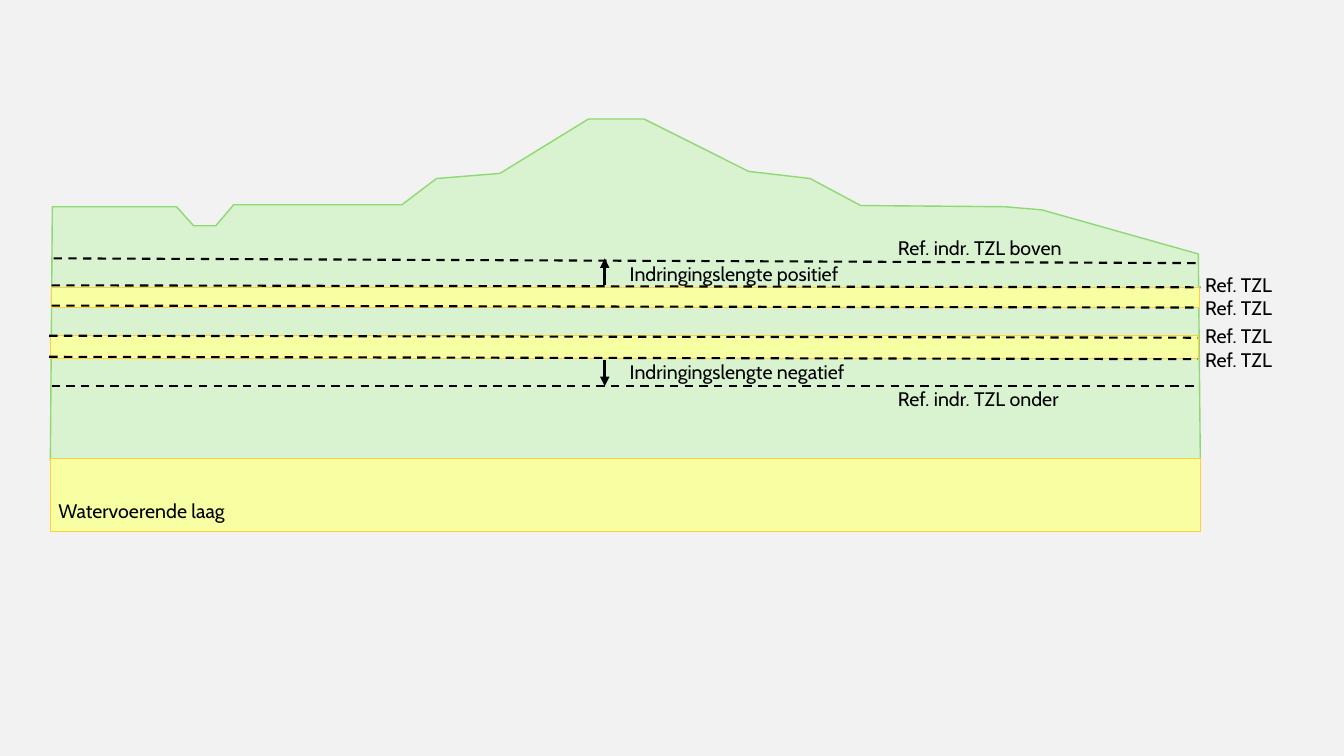
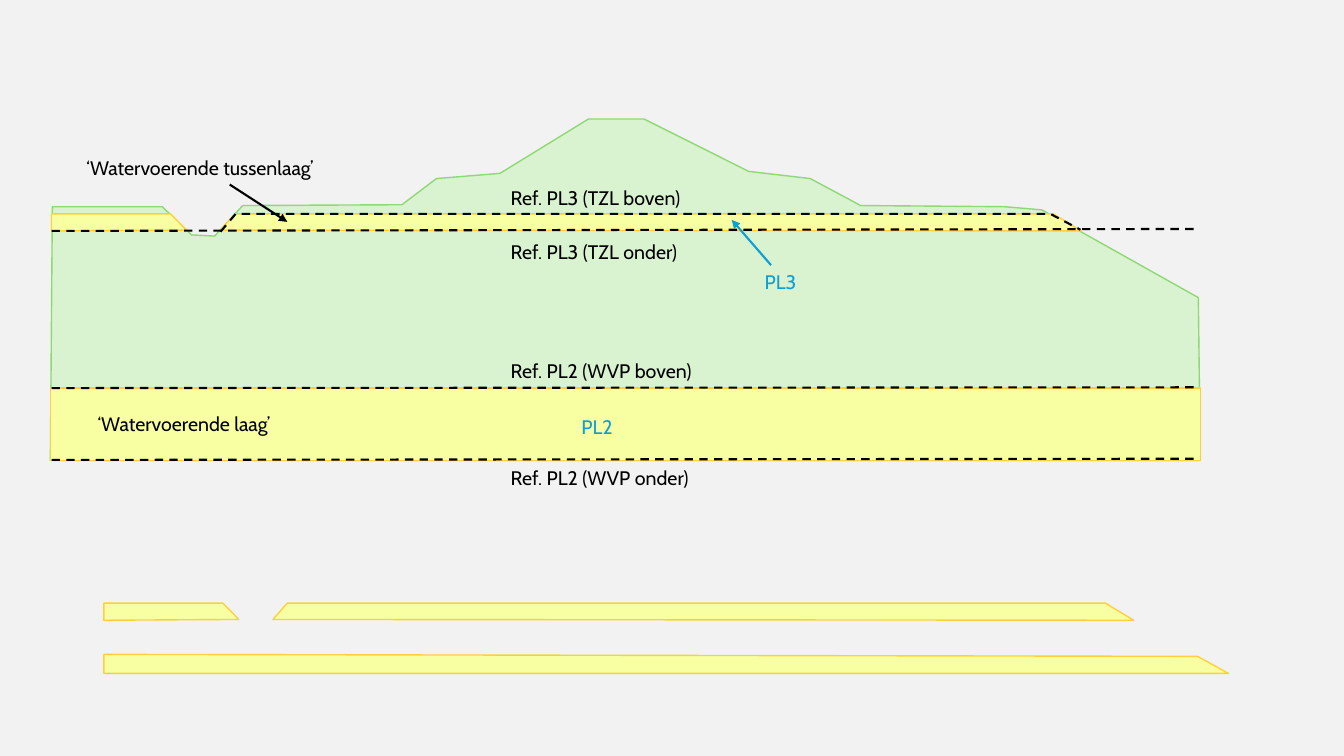
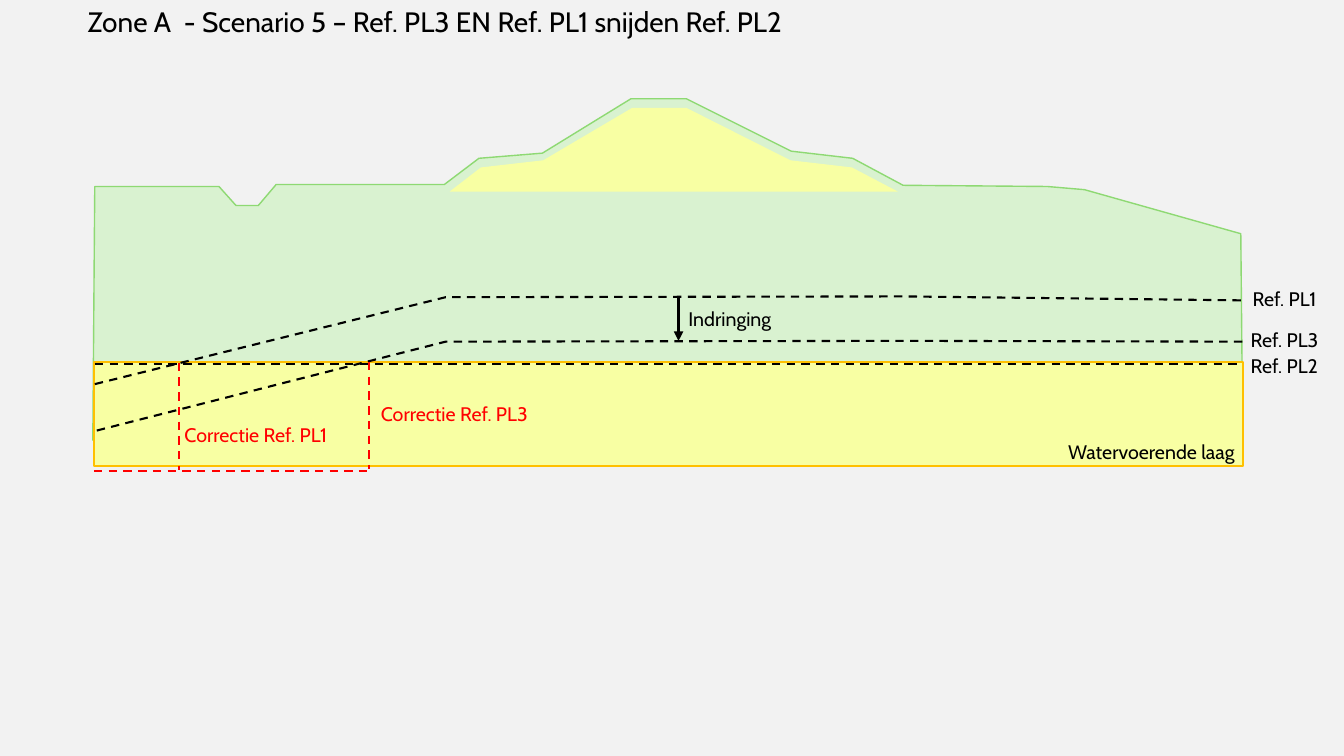
import lxml.etree
import pptx
import pptx.dml.color
import pptx.enum.dml
import pptx.enum.shapes
import pptx.enum.text
import pptx.oxml.ns
import pptx.util

Cm = pptx.util.Cm
Pt = pptx.util.Pt
qn = pptx.oxml.ns.qn

FONT = "Cabin"
BLACK, BLUE, RED = "000000", "0F9ED5", "FF0000"
BACKGROUND = "F2F2F2"
CLAY, CLAY_EDGE = "D9F2D0", "8ED973"
SAND, SAND_EDGE, SAND_EDGE_DARK = "F8FFA3", "FFD03B", "FFC000"
SECTION_WIDTH = 28.98

# Surface from the right-hand crest slope to the inner toe, in cm within the section
EMBANKMENT = [(24.99, 2.29), (24.05, 2.21), (20.42, 2.18), (19.15, 1.5), (17.6, 1.32),
              (14.96, 0), (13.56, 0), (11.33, 1.37), (9.73, 1.5), (8.86, 2.16)]
NARROW_DITCH = [(4.62, 2.16), (4.17, 2.69), (3.61, 2.69), (3.18, 2.21)]
WIDE_DITCH = [(4.85, 2.18), (4.14, 2.95), (3.56, 2.92), (2.82, 2.21)]
CORE = [(13.59, 0.23), (14.96, 0.23), (17.58, 1.55), (19.13, 1.73),
        (20.29, 2.34), (8.99, 2.34), (9.78, 1.73), (11.35, 1.55)]
LAYER_BEFORE_DITCH = [(0, 0), (3, 0), (3.4, 0.41), (0, 0.43)]
LAYER_BEHIND_DITCH = [(4.62, 0), (25.24, 0), (25.95, 0.43), (4.26, 0.41)]


def rgb(value):
    return pptx.dml.color.RGBColor.from_string(value)


def apply_format(target, values):
    for name, value in values.items():
        setattr(target, name, value)


def style_line(line, color, width, dashed=False):
    line.color.rgb = rgb(color)
    line.width = Pt(width)
    if dashed:
        line.dash_style = pptx.enum.dml.MSO_LINE.DASH


def style_shape(shape, fill, edge, width, dashed=False):
    """Fill and outline a shape; None leaves out the fill or the outline."""
    shape.shadow.inherit = False
    if fill:
        shape.fill.solid()
        shape.fill.fore_color.rgb = rgb(fill)
    else:
        shape.fill.background()
    if edge:
        style_line(shape.line, edge, width, dashed)
    else:
        shape.line.fill.background()


class Section:
    """A cross-section whose parts are placed in cm from its left top corner."""

    def __init__(self, slide, left, top):
        self.shapes = slide.shapes
        self.left = left
        self.top = top

    def place(self, x, y):
        return Cm(self.left + x), Cm(self.top + y)

    def freeform(self, points, fill, edge, width=1, closed=True, dashed=False):
        start, *others = [self.place(x, y) for x, y in points]
        builder = self.shapes.build_freeform(*start)
        builder.add_line_segments(others, close=closed)
        style_shape(builder.convert_to_shape(), fill, edge, width, dashed)

    def dike(self, ditch, right_surface):
        outline = [(0, 8.6), (SECTION_WIDTH, 8.6), (28.93, right_surface),
                   *EMBANKMENT, *ditch, (0.05, 2.21)]
        self.freeform(outline, CLAY, CLAY_EDGE)

    def sand_layer(self, x, y, width, height, edge=SAND_EDGE, edge_width=1):
        shape = self.shapes.add_shape(pptx.enum.shapes.MSO_SHAPE.RECTANGLE,
                                      *self.place(x, y), Cm(width), Cm(height))
        style_shape(shape, SAND, edge, edge_width)

    def split_layer(self, x, y):
        """Intermediate sand layer that is interrupted by the ditch."""
        for part in (LAYER_BEFORE_DITCH, LAYER_BEHIND_DITCH):
            self.freeform([(x + dx, y + dy) for dx, dy in part], SAND, SAND_EDGE)

    def line(self, start, end, color=BLACK, width=1.5, dashed=True):
        connector = self.shapes.add_connector(
            pptx.enum.shapes.MSO_CONNECTOR.STRAIGHT, *self.place(*start), *self.place(*end))
        style_line(connector.line, color, width, dashed)
        properties = connector.element.spPr
        lxml.etree.SubElement(properties, qn("a:effectLst"))
        return properties.find(qn("a:ln"))

    def arrow(self, start, end, color=BLACK, width=2.25):
        outline = self.line(start, end, color, width, dashed=False)
        lxml.etree.SubElement(outline, qn("a:tailEnd"), type="triangle")

    def polyline(self, points):
        self.freeform(points, None, BLACK, 1.5, closed=False, dashed=True)

    def label(self, text, x, y, width, color=BLACK, size=14, height=0.86):
        box = self.shapes.add_textbox(*self.place(x, y), Cm(width), Cm(height))
        apply_format(box.text_frame, {
            "word_wrap": True,
            "auto_size": pptx.enum.text.MSO_AUTO_SIZE.SHAPE_TO_FIT_TEXT,
        })
        run = box.text_frame.paragraphs[0].add_run()
        run.text = text
        apply_format(run.font, {"name": FONT, "size": Pt(size)})
        run.font.color.rgb = rgb(color)


def draw_intrusion_lengths(section):
    section.dike(NARROW_DITCH, right_surface=3.4)
    section.sand_layer(0.03, 4.24, 28.93, 0.51)
    section.sand_layer(0, 5.46, 28.93, 0.58)
    section.sand_layer(0, 8.56, SECTION_WIDTH, 1.83)
    for x, left_y, right_x, right_y in [
            (0.08, 3.51, 28.91, 3.63), (0.03, 4.19, 28.98, 4.24), (0.03, 4.7, 28.96, 4.75),
            (-0.03, 5.46, 28.91, 5.51), (-0.03, 5.99, 28.91, 6.05), (0.03, 6.73, 28.96, 6.73)]:
        section.line((x, left_y), (right_x, right_y))
    section.arrow((13.97, 4.19), (13.97, 3.51))
    section.arrow((13.97, 6.07), (13.97, 6.73))
    section.label("Indringingslengte positief", 14.35, 3.48, 6.3)
    section.label("Indringingslengte negatief", 14.35, 5.94, 6.3)
    section.label("Ref. indr. TZL boven", 21.11, 2.82, 5.05)
    section.label("Ref. indr. TZL onder", 21.11, 6.63, 5.05)
    for y in (3.76, 4.32, 5.03, 5.64):
        section.label("Ref. TZL", 28.85, y, 3.15)
    section.label("Watervoerende laag", -0.05, 9.45, 4.85)


def draw_reference_levels(section):
    section.dike(WIDE_DITCH, right_surface=4.5)
    section.sand_layer(0, 6.78, SECTION_WIDTH, 1.83)
    section.split_layer(0.03, 2.39)
    section.split_layer(1.35, 12.2)
    section.freeform([(1.35, 13.49), (28.91, 13.54), (29.69, 13.97), (1.35, 13.97)],
                     SAND, SAND_EDGE)
    section.polyline([(4.29, 2.84), (4.67, 2.39), (25.2, 2.39), (25.96, 2.79)])
    for left_y, right_y in [(2.82, 2.77), (6.78, 6.76), (8.59, 8.56)]:
        section.polyline([(0.03, left_y), (28.91, right_y)])
    for text, y in [("Ref. PL3 (TZL boven)", 1.55), ("Ref. PL3 (TZL onder)", 2.92),
                    ("Ref. PL2 (WVP boven)", 5.92), ("Ref. PL2 (WVP onder)", 8.61)]:
        section.label(text, 11.35, y, 5.41)
    section.label("PL2", 13.13, 7.32, 1.52, BLUE)
    section.label("PL3", 17.75, 3.68, 1.52, BLUE)
    section.arrow((18.16, 3.68), (17.17, 2.54), BLUE, 1.5)
    section.label("‘Watervoerende laag’", 0.94, 7.26, 5.41)
    section.label("‘Watervoerende tussenlaag’", 0.66, 0.81, 6.73)
    section.arrow((4.52, 1.65), (5.97, 2.59), width=1.5)


def draw_scenario(section):
    section.label("Zone A  - Scenario 5 – Ref. PL3 EN Ref. PL1 snijden Ref. PL2",
                  -0.38, -2.49, 20.45, size=20, height=1.12)
    section.dike(NARROW_DITCH, right_surface=3.4)
    section.sand_layer(0.03, 6.63, 28.96, 2.62, SAND_EDGE_DARK, 1.5)
    section.freeform(CORE, SAND, None)
    section.line((0.05, 6.68), (SECTION_WIDTH, 6.68))
    section.polyline([(0.05, 7.19), (8.89, 5), (20.45, 4.98), (SECTION_WIDTH, 5.08)])
    section.polyline([(0.1, 8.36), (8.89, 6.12), (20.45, 6.1), (SECTION_WIDTH, 6.12)])
    section.arrow((14.76, 4.98), (14.76, 6.1))
    section.label("Indringing", 14.76, 5.11, 4.39)
    for text, x, y in [("Ref. PL1", 28.98, 4.62), ("Ref. PL3", 28.93, 5.66),
                       ("Ref. PL2", 28.93, 6.3)]:
        section.label(text, x, y, 2.5)
    for start, end in [((2.18, 6.65), (2.18, 9.35)), ((6.96, 6.63), (6.96, 9.32)),
                       ((0.03, 9.37), (6.96, 9.37))]:
        section.line(start, end, RED)
    section.label("Correctie Ref. PL1", 2.06, 8.05, 4.37, RED)
    section.label("Correctie Ref. PL3", 7.01, 7.52, 4.37, RED)
    section.label("Watervoerende laag", 24.33, 8.48, 4.85)


def main():
    presentation = pptx.Presentation()
    apply_format(presentation, {"slide_width": Cm(33.87), "slide_height": Cm(19.05)})
    background = presentation.slide_master.background.fill
    background.solid()
    background.fore_color.rgb = rgb(BACKGROUND)
    for draw, left, top in [(draw_intrusion_lengths, 1.27, 3),
                            (draw_reference_levels, 1.27, 3),
                            (draw_scenario, 2.34, 2.49)]:
        slide = presentation.slides.add_slide(presentation.slide_layouts[6])
        draw(Section(slide, left, top))
    presentation.save("out.pptx")


if __name__ == "__main__":
    main()
